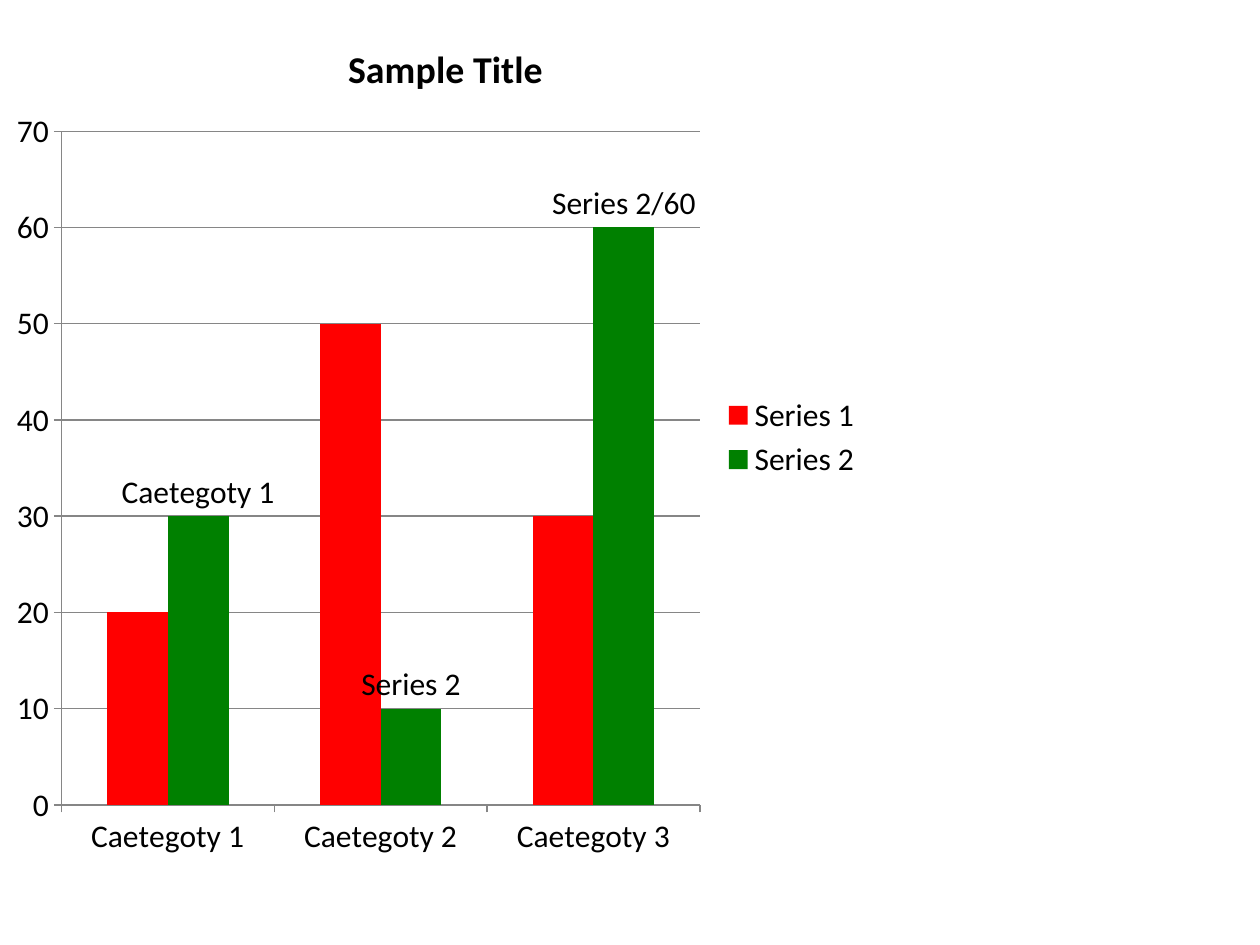
import pptx
import pptx.chart.data
import pptx.dml.color
import pptx.enum.chart
import pptx.oxml
import pptx.oxml.ns
import pptx.util
from lxml import etree

COLORS = {
    "text": "000000",
    "line": "868686",
    "Series 1": "FF0000",
    "Series 2": "008000",
}
FONT = "Calibri"
CATEGORIES = ["Caetegoty 1", "Caetegoty 2", "Caetegoty 3"]
SERIES = {"Series 1": [20, 50, 30], "Series 2": [30, 10, 60]}
POINT_LABELS = [["showCatName"], ["showSerName"], ["showVal", "showSerName"]]


def color(name):
    return pptx.dml.color.RGBColor.from_string(COLORS[name])


def format_font(font, size=18, bold=False):
    font.name = FONT
    font.size = pptx.util.Pt(size)
    font.bold = bold
    font.color.rgb = color("text")


def write_text(frame, text, **style):
    """Put one formatted run of text in a text frame."""
    span = frame.paragraphs[0].add_run()
    span.text = text
    format_font(span.font, **style)


def place(parent, index, target=None, **fractions):
    """Give a chart part a fixed place, in fractions of the chart."""
    tag = pptx.oxml.ns.qn
    for old in parent.findall(tag("c:layout")):
        parent.remove(old)
    layout = etree.Element(tag("c:layout"))
    manual = etree.SubElement(layout, tag("c:manualLayout"))
    settings = {"xMode": "edge", "yMode": "edge", **fractions}
    if target:
        settings = {"layoutTarget": target, **settings}
    for name, value in settings.items():
        etree.SubElement(manual, tag(f"c:{name}")).set("val", str(value))
    parent.insert(index, layout)


def add_column_chart(page):
    data = pptx.chart.data.CategoryChartData()
    data.categories = CATEGORIES
    for name, values in SERIES.items():
        data.add_series(name, values)
    side = pptx.util.Pt(500)
    chart = page.shapes.add_chart(
        pptx.enum.chart.XL_CHART_TYPE.COLUMN_CLUSTERED, 0, 0, side, side, data
    ).chart
    format_font(chart.font)
    plot = chart.plots[0]
    plot.gap_width = 150
    plot.overlap = 0
    plot.vary_by_categories = False
    for series in plot.series:
        series.format.fill.solid()
        series.format.fill.fore_color.rgb = color(series.name)
    plot_area = chart.element.find(".//" + pptx.oxml.ns.qn("c:plotArea"))
    place(plot_area, 0, target="inner", x=0.07, y=0.15, w=0.73, h=0.77)
    return chart


def add_title(chart, text):
    chart.has_title = True
    title = chart.chart_title
    write_text(title.text_frame, text, size=21.6, bold=True)
    element = chart.element.find(".//" + pptx.oxml.ns.qn("c:title"))
    place(element, 1, x=0.39, y=0.04)
    element.find(pptx.oxml.ns.qn("c:overlay")).set("val", "1")


def add_legend(chart):
    chart.has_legend = True
    chart.legend.position = pptx.enum.chart.XL_LEGEND_POSITION.RIGHT
    chart.legend.include_in_layout = False
    format_font(chart.legend.font)


def format_axes(chart):
    chart.value_axis.has_major_gridlines = True
    chart.value_axis.minimum_scale = 0
    chart.value_axis.maximum_scale = 70
    chart.value_axis.major_unit = 10
    lines = [chart.value_axis.major_gridlines.format.line]
    for axis in (chart.category_axis, chart.value_axis):
        axis.major_tick_mark = pptx.enum.chart.XL_TICK_MARK.OUTSIDE
        format_font(axis.tick_labels.font)
        lines.append(axis.format.line)
    for line in lines:
        line.color.rgb = color("line")
        line.width = pptx.util.Pt(0.75)


def label_points(series):
    """Label each point with the fields listed for it, joined by a slash."""
    tag = pptx.oxml.ns.qn
    for index in range(len(POINT_LABELS)):
        label = series.points[index].data_label
        format_font(label.font)
        label.position = pptx.enum.chart.XL_LABEL_POSITION.OUTSIDE_END
    elements = series.points[0].data_label
    elements = chart_labels = series._element.iter(tag("c:dLbl"))
    for element, fields in zip(chart_labels, POINT_LABELS):
        for name in ("showVal", "showCatName", "showSerName"):
            shown = "1" if name in fields else "0"
            element.find(tag(f"c:{name}")).set("val", shown)
        if len(fields) > 1:
            etree.SubElement(element, tag("c:separator")).text = "/"


def main():
    deck = pptx.Presentation()
    deck.slide_width = pptx.util.Pt(720)
    deck.slide_height = pptx.util.Pt(540)
    page = deck.slides.add_slide(deck.slide_layouts[6])
    chart = add_column_chart(page)
    add_title(chart, "Sample Title")
    add_legend(chart)
    format_axes(chart)
    label_points(chart.plots[0].series[1])
    deck.save("out.pptx")


if __name__ == "__main__":
    main()
